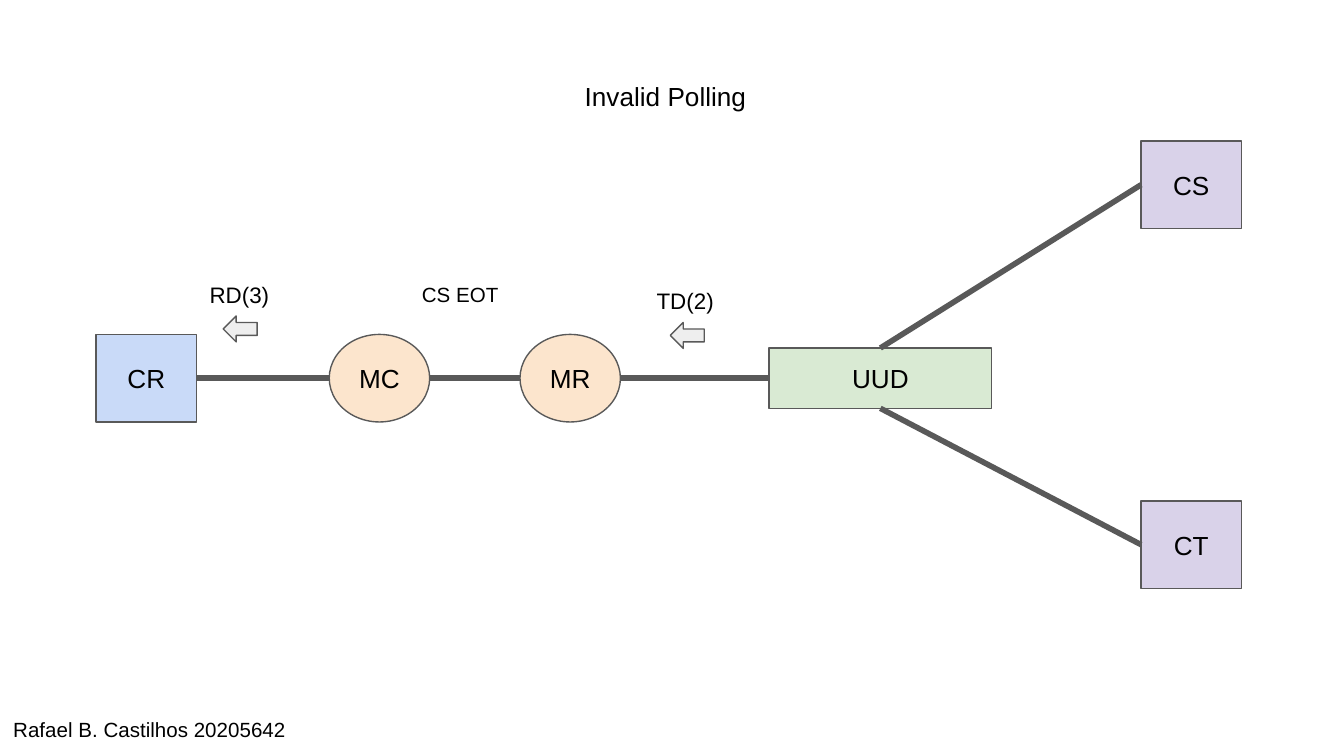
from pptx import Presentation
from pptx.dml.color import RGBColor
from pptx.enum.shapes import MSO_CONNECTOR as Connector, MSO_SHAPE as Shape
from pptx.enum.text import MSO_ANCHOR as Anchor, MSO_AUTO_SIZE as AutoSize, PP_ALIGN as Align
from pptx.oxml.ns import qn
from pptx.util import Pt
from lxml import etree

BLACK = RGBColor(0x00, 0x00, 0x00)
GREY = RGBColor(0x59, 0x59, 0x59)
ARROW_GREY = RGBColor(0xEE, 0xEE, 0xEE)
BLUE = RGBColor(0xC9, 0xDA, 0xF8)
PURPLE = RGBColor(0xD9, 0xD2, 0xE9)
PEACH = RGBColor(0xFC, 0xE5, 0xCD)
GREEN = RGBColor(0xD9, 0xEA, 0xD3)

FONT = "Arial"
INSET = 7.2
NODE_W, NODE_H = 53.8, 46.9
HUB_W, HUB_H = 119.3, 32.3
ARROW_W, ARROW_H = 18.2, 13.9
AXIS_Y = 202.6  # centre line of the main link


def write(box, text, size=14, align=Align.LEFT, anchor=Anchor.TOP):
    """Put one formatted line of text into a shape."""
    frame = box.text_frame
    frame.word_wrap = True
    frame.auto_size = AutoSize.NONE
    frame.vertical_anchor = anchor
    frame.margin_left = frame.margin_right = Pt(INSET)
    frame.margin_top = frame.margin_bottom = Pt(INSET)
    line = frame.paragraphs[0]
    line.alignment = align
    run = line.add_run()
    run.text = text
    run.font.name = FONT
    run.font.size = Pt(size)
    run.font.color.rgb = BLACK


def add_title(slide, text, left, top, width, height):
    title = slide.shapes.title
    title.left, title.top = Pt(left), Pt(top)
    title.width, title.height = Pt(width), Pt(height)
    write(title, text)


def add_label(slide, text, left, top, width, size):
    label = slide.shapes.add_textbox(Pt(left), Pt(top), Pt(width), Pt(28.4))
    write(label, text, size=size)


def add_outlined(slide, kind, left, top, width, height, fill):
    outlined = slide.shapes.add_shape(kind, Pt(left), Pt(top), Pt(width), Pt(height))
    outlined.shadow.inherit = False
    outlined.fill.solid()
    outlined.fill.fore_color.rgb = fill
    outlined.line.color.rgb = GREY
    outlined.line.width = Pt(0.75)
    return outlined


def add_node(slide, name, left, middle, fill, kind=Shape.RECTANGLE,
             width=NODE_W, height=NODE_H):
    """Draw a named station, centred vertically on middle."""
    node = add_outlined(slide, kind, left, middle - height / 2, width, height, fill)
    write(node, name, align=Align.CENTER, anchor=Anchor.MIDDLE)


def add_link(slide, start, end):
    link = slide.shapes.add_connector(
        Connector.STRAIGHT, *(Pt(value) for value in (*start, *end)))
    link.line.color.rgb = GREY
    link.line.width = Pt(3)
    etree.SubElement(link._element.spPr, qn("a:effectLst"))


def add_signal(slide, text, left, top):
    """Draw a signal label with the arrow of its direction below it."""
    add_label(slide, text, left, top, 67.7, 12)
    add_outlined(slide, Shape.LEFT_ARROW, left + 14.4, top + 26.1,
                 ARROW_W, ARROW_H, ARROW_GREY)


def main():
    deck = Presentation()
    deck.slide_width, deck.slide_height = Pt(720), Pt(405)
    slide = deck.slides.add_slide(deck.slide_layouts[5])
    add_title(slide, "Invalid Polling", 306, 36, 107.5, 31.5)

    # Stations and modems
    cr_x, mc_x, mr_x, hub_x, terminal_x = 51.5, 176.4, 278.6, 412, 611.3
    cs_y, ct_y = 99, 291.8
    add_node(slide, "CR", cr_x, AXIS_Y, BLUE)
    add_node(slide, "CT", terminal_x, ct_y, PURPLE)
    add_node(slide, "CS", terminal_x, cs_y, PURPLE)
    add_node(slide, "MC", mc_x, AXIS_Y, PEACH, kind=Shape.OVAL)
    add_node(slide, "MR", mr_x, AXIS_Y, PEACH, kind=Shape.OVAL)
    add_node(slide, "UUD", hub_x, AXIS_Y, GREEN, width=HUB_W, height=HUB_H)

    # Main link, then the branches to the terminals
    for source_x, target_x in ((cr_x, mc_x), (mc_x, mr_x), (mr_x, hub_x)):
        add_link(slide, (source_x + NODE_W, AXIS_Y), (target_x, AXIS_Y))
    hub_middle = hub_x + HUB_W / 2
    add_link(slide, (terminal_x, ct_y), (hub_middle, AXIS_Y + HUB_H / 2))
    add_link(slide, (hub_middle, AXIS_Y - HUB_H / 2), (terminal_x, cs_y))

    # Signals, message and author
    add_signal(slide, "TD(2)", 344.7, 146.7)
    add_signal(slide, "RD(3)", 105.2, 143.2)
    add_label(slide, "CS EOT", 218.9, 143.8, 71.3, 11)
    add_label(slide, "Rafael B. Castilhos 20205642", 0, 377, 170, 11)

    deck.save("out.pptx")


if __name__ == "__main__":
    main()
